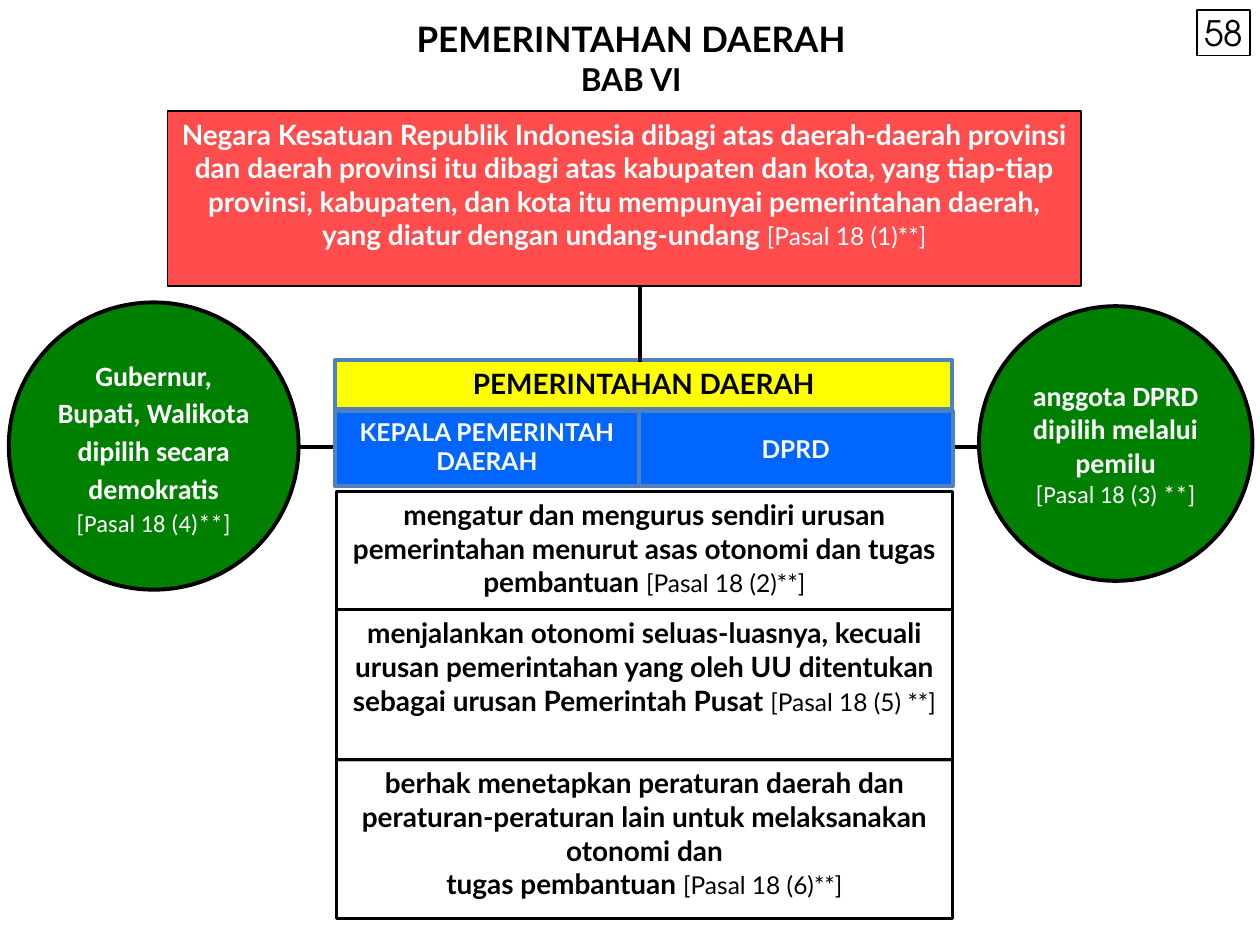
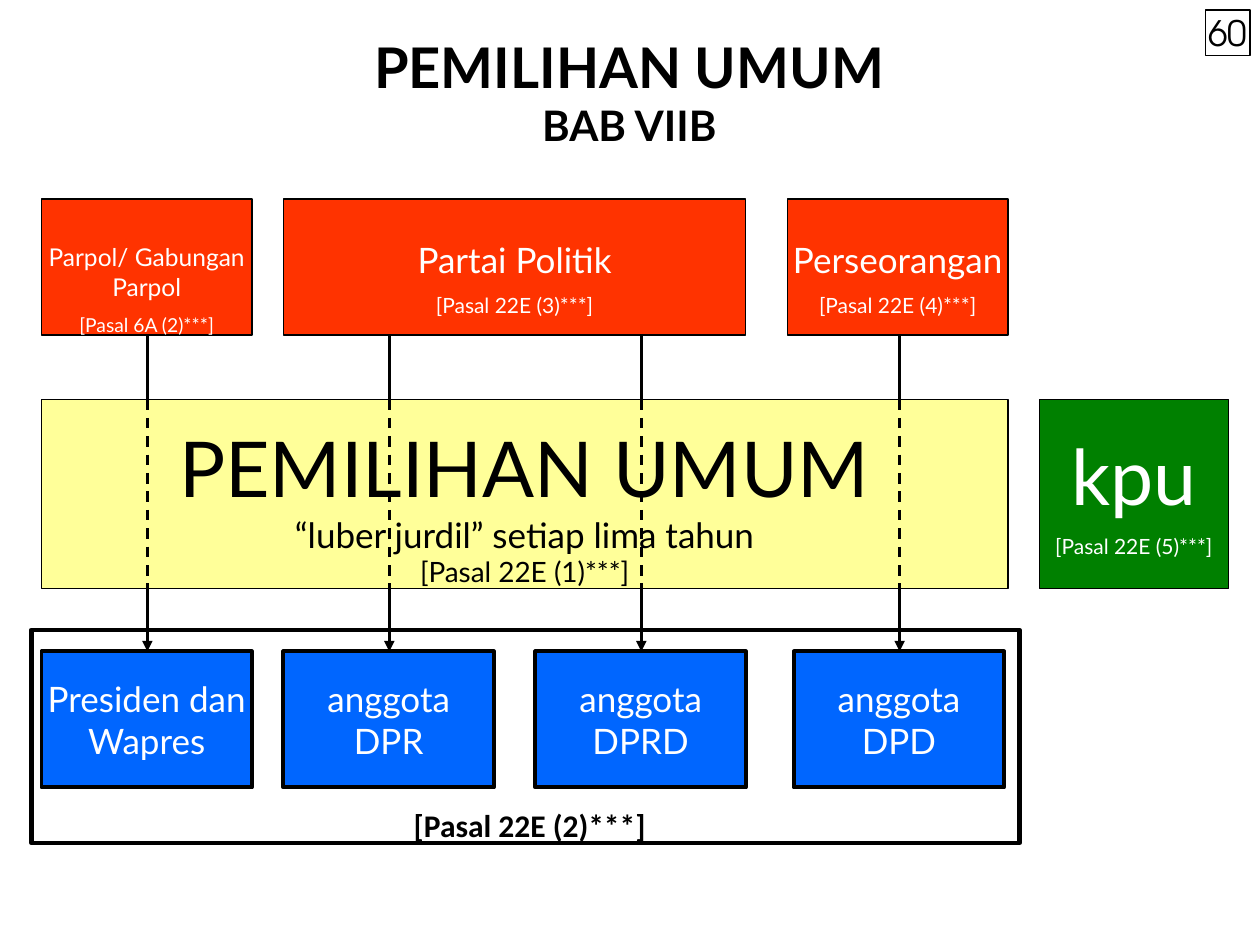
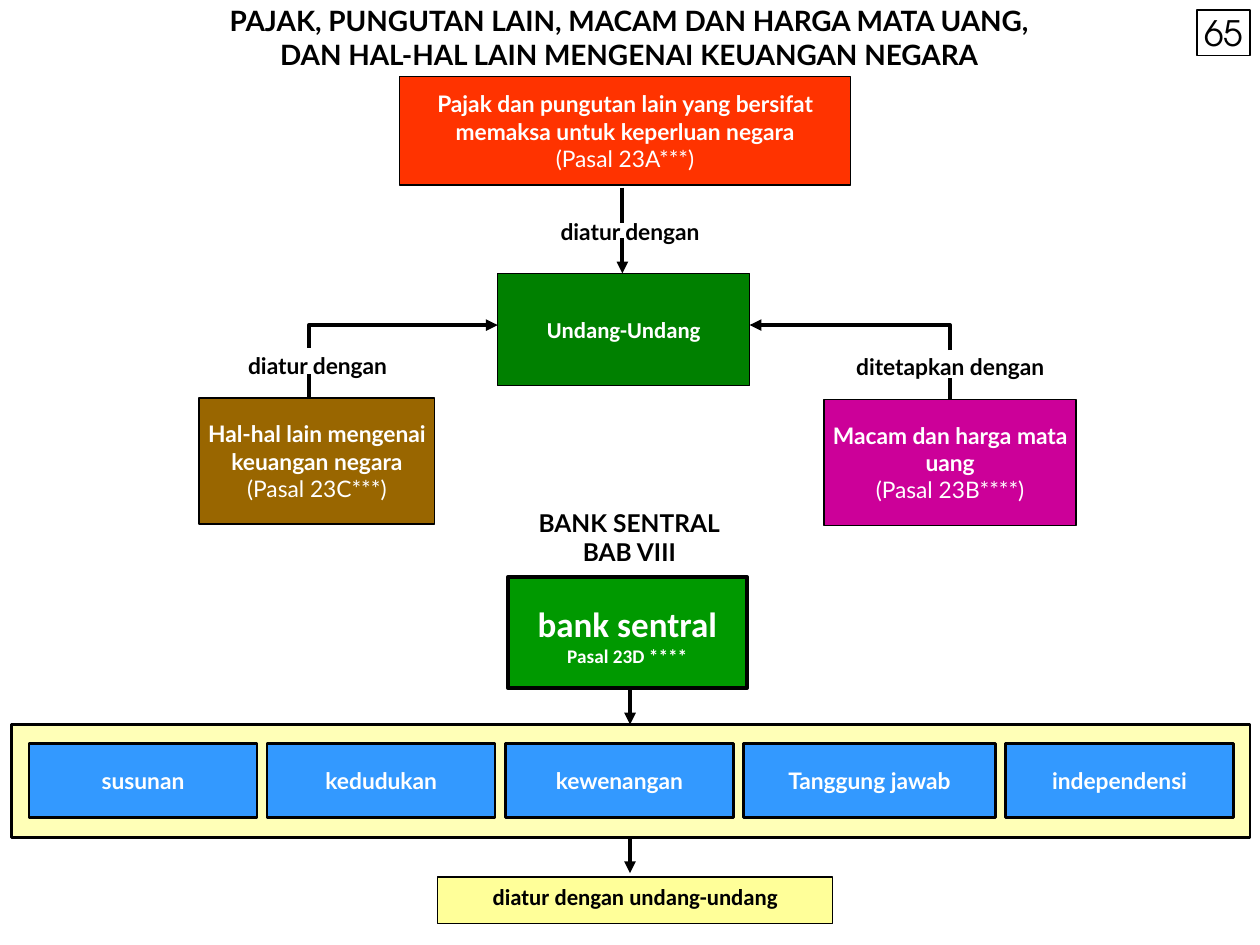
from lxml import etree
from pptx import Presentation
from pptx.dml.color import RGBColor
from pptx.enum.dml import MSO_LINE
from pptx.enum.shapes import MSO_CONNECTOR, MSO_SHAPE
from pptx.enum.text import MSO_ANCHOR, PP_ALIGN
from pptx.oxml.ns import qn
from pptx.util import Inches, Pt

RECTANGLE, ELLIPSE = MSO_SHAPE.RECTANGLE, MSO_SHAPE.OVAL
TOP, MIDDLE = MSO_ANCHOR.TOP, MSO_ANCHOR.MIDDLE
CENTER = PP_ALIGN.CENTER
STRAIGHT = MSO_CONNECTOR.STRAIGHT
DASH = MSO_LINE.DASH

COLORS = {
    "black": "000000", "white": "FFFFFF", "red": "FF0000", "orange": "FF3300",
    "yellow": "FFFF00", "cream": "FFFF99", "green": "008000", "bank green": "009900",
    "blue": "0066FF", "sky": "3399FF", "steel": "4F81BD",
    "brown": "996600", "magenta": "CC0099",
}
NO_INSETS = (0, 0, 0, 0)
TEXT_INSETS = (0.1, 0.05, 0.1, 0.05)
NARROW_INSETS = (0.04, 0.05, 0.04, 0.05)


def add_box(slide, bounds, paragraphs=(), fill=None, line="black", width=0.75,
            color="black", font="Lato", anchor=MIDDLE, insets=NO_INSETS,
            kind=RECTANGLE, opacity=100, space_before=0, line_spacing=None):
    """Add a box; each paragraph is a list of (text, size, bold) runs."""
    bounds = [Inches(length) for length in bounds]
    if fill or line:
        shape = slide.shapes.add_shape(kind, *bounds)
        shape.shadow.inherit = False
    else:
        shape = slide.shapes.add_textbox(*bounds)
    if fill:
        shape.fill.solid()
        shape.fill.fore_color.rgb = RGBColor.from_string(COLORS[fill])
        if opacity < 100:
            fill_color = shape._element.spPr.find(qn("a:solidFill"))[0]
            etree.SubElement(fill_color, qn("a:alpha"), val=str(opacity * 1000))
    else:
        shape.fill.background()
    if line:
        shape.line.color.rgb = RGBColor.from_string(COLORS[line])
        shape.line.width = Pt(width)

    frame = shape.text_frame
    frame.word_wrap = True
    frame.vertical_anchor = anchor
    (frame.margin_left, frame.margin_top,
     frame.margin_right, frame.margin_bottom) = [Inches(inset) for inset in insets]
    for index, runs in enumerate(paragraphs):
        paragraph = frame.add_paragraph() if index else frame.paragraphs[0]
        paragraph.alignment = CENTER
        if index and space_before:
            paragraph.space_before = Pt(space_before)
        if line_spacing:
            paragraph.line_spacing = line_spacing
        paragraph.font.name = font
        paragraph.font.color.rgb = RGBColor.from_string(COLORS[color])
        for text, size, bold in runs:
            run = paragraph.add_run()
            run.text = text
            target = paragraph.font if len(runs) == 1 else run.font
            target.size, target.bold = Pt(size), bold


def add_line(slide, points, width=2.25, arrow=False, dash=None):
    """Add a straight connector, or an open outline through three or more points."""
    points = [(Inches(x), Inches(y)) for x, y in points]
    if len(points) == 2:
        shape = slide.shapes.add_connector(STRAIGHT, *points[0], *points[1])
    else:
        builder = slide.shapes.build_freeform(*points[0])
        builder.add_line_segments(points[1:], close=False)
        shape = builder.convert_to_shape()
        shape.fill.background()
    shape.line.color.rgb = RGBColor.from_string(COLORS["black"])
    shape.line.width = Pt(width)
    if dash:
        shape.line.dash_style = dash
    properties = shape._element.spPr
    if arrow:
        etree.SubElement(properties.find(qn("a:ln")), qn("a:tailEnd"), type="triangle")
    etree.SubElement(properties, qn("a:effectLst"))


presentation = Presentation()
presentation.slide_width, presentation.slide_height = Inches(10), Inches(7.5)

# Shared on every slide: title and page number
headers = [
    ("58", 0.42, (0.08, 0.09, 9.86, 0.74), 0.05,
     [[("PEMERINTAHAN DAERAH", 20, True)], [("BAB VI", 18, True)]]),
    ("60", 0.35, (0.08, 0.03, 9.83, 0.97), 0.23,
     [[("PEMILIHAN UMUM", 32, True)], [("BAB VIIB", 24, True)]]),
    ("65", 0.42, (0.08, 0, 9.83, 0.58), 0.03,
     [[("PAJAK, PUNGUTAN LAIN, MACAM DAN HARGA MATA UANG,", 16, True)],
      [("DAN HAL-HAL LAIN MENGENAI KEUANGAN NEGARA", 16, True)]]),
]
slides = []
for number, number_width, title_bounds, title_inset, title in headers:
    slide = presentation.slides.add_slide(presentation.slide_layouts[6])
    add_box(slide, title_bounds, title, line=None, anchor=TOP,
            insets=(0.1, title_inset, 0.1, 0.05))
    add_box(slide, (9.92 - number_width, 0.08, number_width, 0.36),
            [[(number, 20, False)]], font="TeX Gyre Adventor")
    slides.append(slide)
government, election, finance = slides

# Slide 1: duties of regional government
duties = [
    (3.9, 0.94, [[("mengatur dan mengurus sendiri urusan pemerintahan menurut asas "
                   "otonomi dan tugas pembantuan ", 16, True),
                  ("[Pasal 18 (2)**]", 14, False)]]),
    (4.84, 1.2, [[("menjalankan otonomi seluas-luasnya, kecuali urusan pemerintahan yang "
                   "oleh UU ditentukan sebagai urusan Pemerintah Pusat ", 16, True),
                  ("[Pasal 18 (5) **]", 14, False)]]),
    (6.03, 1.26, [[("berhak menetapkan peraturan daerah dan peraturan-peraturan lain "
                    "untuk melaksanakan otonomi dan", 16, True)],
                  [("tugas pembantuan ", 16, True), ("[Pasal 18 (6)**]", 14, False)]]),
]
for top, height, duty in duties:
    add_box(government, (2.67, top, 4.89, height), duty, fill="white", width=1.5,
            anchor=TOP, insets=TEXT_INSETS, opacity=70)

# Slide 1: connecting lines and the two bodies
for points in [[(2.36, 3.55), (2.66, 3.55)], [(7.78, 3.55), (7.55, 3.55)]]:
    add_line(government, points)
bodies = [
    ((2.66, 2.86, 4.9, 0.39), "PEMERINTAHAN DAERAH", 16, "yellow", "black", TOP),
    ((2.66, 3.26, 2.41, 0.6), "KEPALA PEMERINTAH DAERAH", 14, "blue", "white", TOP),
    ((5.07, 3.26, 2.49, 0.6), "DPRD", 14, "blue", "white", MIDDLE),
]
for bounds, text, size, fill, color, anchor in bodies:
    add_box(government, bounds, [[(text, size, True)]], fill=fill, line="steel",
            width=2.25, color=color, anchor=anchor, insets=TEXT_INSETS)
add_line(government, [(5.08, 2.28), (5.08, 2.87)])

# Slide 1: how each body is chosen
choices = [
    ((7.77, 2.43, 2.17, 2.18), "anggota DPRD dipilih melalui pemilu",
     "[Pasal 18 (3) **]", None),
    ((0.07, 2.4, 2.3, 2.28), "Gubernur, Bupati, Walikota dipilih secara demokratis",
     "[Pasal 18 (4)**]", 1.12),
]
for bounds, text, article, line_spacing in choices:
    add_box(government, bounds, [[(text, 16, True)], [(article, 14, False)]],
            fill="green", width=2.25, color="white", font="Calibri", kind=ELLIPSE,
            insets=(0.03, 0, 0.03, 0), line_spacing=line_spacing)
add_box(government, (1.33, 0.88, 7.25, 1.39),
        [[("Negara Kesatuan Republik Indonesia dibagi atas daerah-daerah provinsi dan "
           "daerah provinsi itu dibagi atas kabupaten dan kota, yang tiap-tiap provinsi, "
           "kabupaten, dan kota itu mempunyai pemerintahan daerah, yang diatur dengan "
           "undang-undang ", 16, True), ("[Pasal 18 (1)**]", 14, False)]],
        fill="red", width=1, color="white", anchor=TOP, insets=TEXT_INSETS, opacity=70)

# Slide 2: the election and its commission
add_box(election, (0.33, 3.17, 7.67, 1.5),
        [[("PEMILIHAN UMUM", 44, False)],
         [("“luber jurdil” setiap lima tahun", 20, False)],
         [("[Pasal 22E (1)***]", 16, False)]],
        fill="cream", insets=(0, 0.17, 0, 0))
add_box(election, (8.25, 3.17, 1.5, 1.5),
        [[("kpu", 44, False)], [("[Pasal 22E (5)***]", 12, False)]],
        fill="green", color="white", space_before=7)

# Slide 2: participants
participants = [
    (0.33, 1.67, "Parpol/ Gabungan Parpol", 14, "[Pasal 6A (2)***]", 11, 0.35),
    (2.25, 3.67, "Partai Politik", 20, "[Pasal 22E (3)***]", 12, 0.17),
    (6.25, 1.75, "Perseorangan", 20, "[Pasal 22E (4)***]", 12, 0.17),
]
for left, width, name, size, article, article_size, inset in participants:
    add_box(election, (left, 1.58, width, 1.08),
            [[(name, size, False)], [(article, article_size, False)]],
            fill="orange", color="white", insets=(0, inset, 0, 0), space_before=7)

# Slide 2: elected offices, each reached by a line through the election
add_box(election, (0.25, 5, 7.84, 1.69), width=2.75)
offices = [(0.33, ["Presiden dan Wapres"]), (2.25, ["anggota", "DPR"]),
           (4.25, ["anggota", "DPRD"]), (6.3, ["anggota", "DPD"])]
for left, names in offices:
    add_box(election, (left, 5.17, 1.67, 1.08), [[(name, 20, False)] for name in names],
            fill="blue", width=2.25, color="white")
    middle = left + 0.84
    add_line(election, [(middle, 2.67), (middle, 3.17)], width=1.5)
    add_line(election, [(middle, 3.17), (middle, 4.67)], width=1.5, dash=DASH)
    add_line(election, [(middle, 4.67), (middle, 5.17)], width=1.5, arrow=True)
add_box(election, (0.41, 6.35, 7.59, 0.3), [[("[Pasal 22E (2)***]", 18, True)]],
        line=None, font="Calibri", anchor=TOP, insets=TEXT_INSETS)

# Slide 3: lines towards the law, broken at their labels
add_line(finance, [(2.45, 2.97), (2.45, 3.47)])
add_line(finance, [(7.54, 3), (7.54, 3.5)])
add_line(finance, [(4.94, 1.49), (4.94, 1.77)])
add_line(finance, [(4.94, 1.89), (4.94, 2.17)], arrow=True)
add_line(finance, [(2.45, 2.76), (2.45, 2.58), (3.95, 2.58)], arrow=True)
add_line(finance, [(7.54, 2.78), (7.54, 2.58), (5.95, 2.58)], arrow=True)
labels = [(4.36, 1.73, 1.28, "diatur dengan"), (1.88, 2.79, 1.28, "diatur dengan"),
          (6.68, 2.8, 1.72, "ditetapkan dengan")]
for left, top, width, text in labels:
    add_box(finance, (left, top, width, 0.22), [[(text, 13, True)]], line=None, anchor=TOP)

# Slide 3: state finance matters and the law
matters = [
    ((1.58, 3.16, 1.87, 1), "Hal-hal lain mengenai keuangan negara",
     "(Pasal 23C***)", "brown"),
    ((6.54, 3.17, 2, 1), "Macam dan harga mata uang", "(Pasal 23B****)", "magenta"),
    ((3.17, 0.61, 3.58, 0.86),
     "Pajak dan pungutan lain yang bersifat memaksa untuk keperluan negara",
     "(Pasal 23A***)", "orange"),
]
for bounds, text, article, fill in matters:
    add_box(finance, bounds, [[(text, 13, True)], [(article, 13, False)]],
            fill=fill, color="white", insets=NARROW_INSETS)
add_box(finance, (3.95, 2.17, 2, 0.89), [[("Undang-Undang", 13, True)]],
        fill="green", color="white", font="Calibri")

# Slide 3: central bank
add_box(finance, (0.08, 3.75, 9.83, 0.76),
        [[("BANK SENTRAL", 14, True)], [("BAB VIII", 14, True)]],
        line=None, anchor=TOP, insets=(0.1, 0.28, 0.1, 0.05))
add_box(finance, (0.09, 5.75, 9.83, 0.9), fill="cream", width=1.5, opacity=70)
left = 0.23
for aspect, width in [("susunan", 1.81), ("kedudukan", 1.81), ("kewenangan", 1.81),
                      ("Tanggung jawab", 2), ("independensi", 1.81)]:
    add_box(finance, (left, 5.9, width, 0.59), [[(aspect, 13, True)]], fill="sky",
            width=1.5, color="white", insets=TEXT_INSETS)
    left += width + 0.08
add_line(finance, [(5, 5.21), (5, 5.75)], arrow=True)
add_line(finance, [(5, 6.66), (5, 6.93)], arrow=True)
add_box(finance, (4.03, 4.58, 1.9, 0.88),
        [[("bank sentral", 20, True)], [("Pasal 23D ****", 11, True)]],
        fill="bank green", width=2.25, color="white", font="Calibri", anchor=TOP,
        insets=(0, 0.2, 0, 0))
add_box(finance, (3.47, 6.96, 3.14, 0.37), [[("diatur dengan undang-undang", 13, True)]],
        fill="cream", font="Calibri", anchor=TOP, insets=TEXT_INSETS)

presentation.save("out.pptx")
